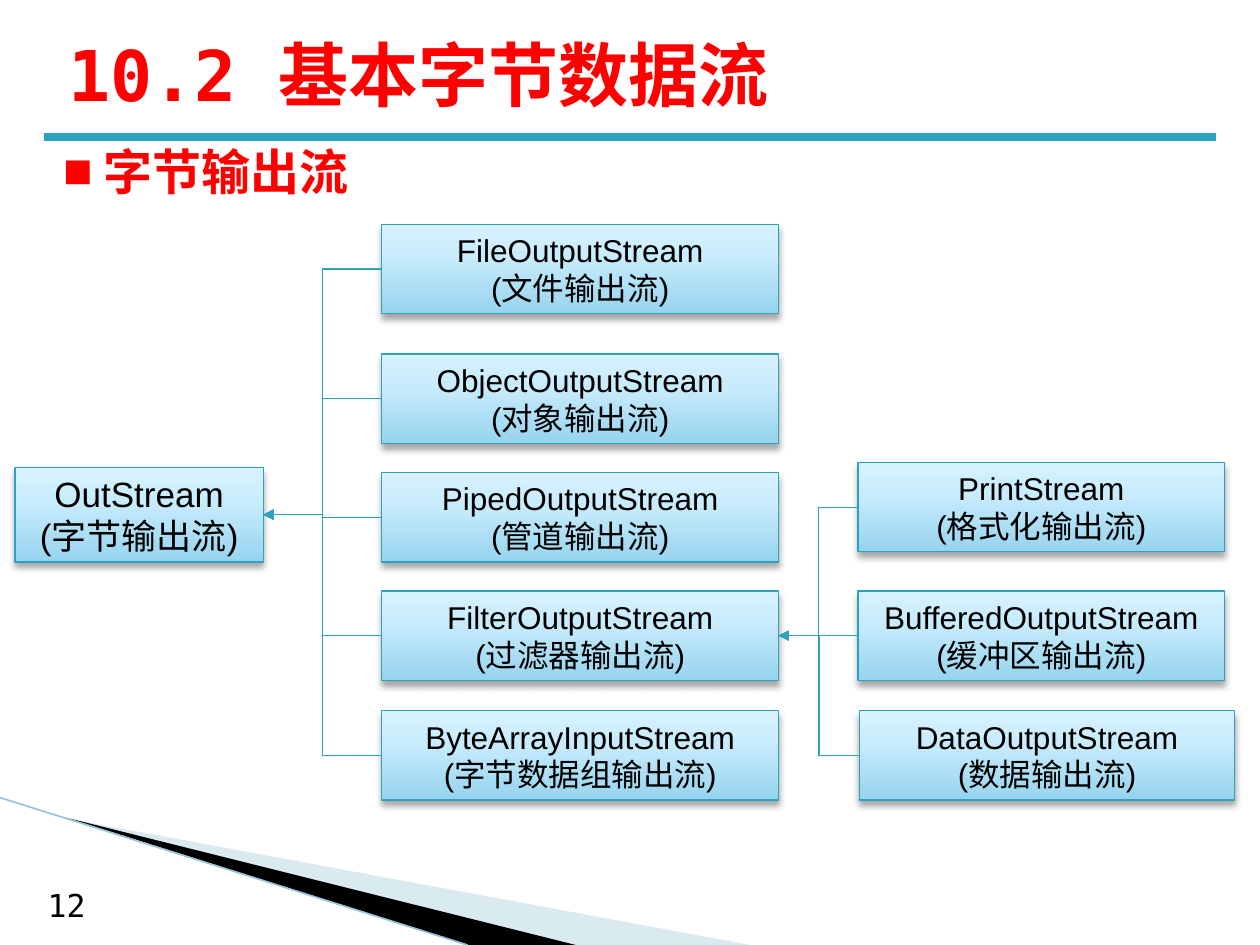
"""Build the slide on byte output streams: a title, a heading and a class tree."""
from copy import deepcopy

from lxml import etree
from pptx import Presentation
from pptx import util as u
from pptx.dml.color import RGBColor
from pptx.enum import shapes, text
from pptx.oxml.ns import qn

TEAL = RGBColor(0x2D, 0xA2, 0xBF)
RED = RGBColor(0xFF, 0x00, 0x00)
BLACK = RGBColor(0x00, 0x00, 0x00)
PALE = RGBColor(0xA0, 0xCB, 0xDC)
EDGE = RGBColor(0x97, 0xC5, 0xD8)
STOPS = [
    (0, RGBColor(0x96, 0xD4, 0xEE)),
    (0.65, RGBColor(0xC9, 0xEC, 0xFC)),
    (1, RGBColor(0xD7, 0xF2, 0xFF)),
]
MONO = "DejaVu Sans Mono"


def style(para, size, color, name="Arial", bold=False):
    for run in para.runs:
        run.font.size = u.Pt(size)
        run.font.color.rgb = color
        run.font.name = name
        run.font.bold = bold


def join(kind, color, width, ends=(0, 0, 0, 0)):
    line = slide.shapes.add_connector(kind, *[u.Inches(e) for e in ends])
    line.line.color.rgb = color
    line.line.width = u.Pt(width)
    etree.SubElement(line._element.spPr, qn("a:effectLst"))
    return line


deck = Presentation()
deck.slide_width, deck.slide_height = u.Inches(10), u.Inches(7.5)
slide = deck.slides.add_slide(deck.slide_layouts[1])

wedges = [
    (PALE, [(0.55, 6.5), (5.95, 7.5), (4.56, 7.5)]),
    (BLACK, [(0.53, 6.49), (4.57, 7.5), (3.72, 7.5)]),
]
for color, spots in wedges:
    first, *rest = [(u.Inches(x), u.Inches(y)) for x, y in spots]
    path = slide.shapes.build_freeform(*first)
    path.add_line_segments(rest)
    wedge = path.convert_to_shape()
    wedge.fill.solid()
    wedge.fill.fore_color.rgb = color
    wedge.line.fill.background()
    wedge.shadow.inherit = False
    if color == PALE:
        tint = wedge._element.spPr.find(".//" + qn("a:srgbClr"))
        etree.SubElement(tint, qn("a:alpha"), val="40000")

join(shapes.MSO_CONNECTOR.STRAIGHT, EDGE, 0.95, (0, 6.33, 3.71, 7.5))
join(shapes.MSO_CONNECTOR.STRAIGHT, TEAL, 4.5, (0.35, 1.09, 9.65, 1.09))

number = slide.shapes.add_textbox(
    u.Inches(0.28), u.Inches(6.98), u.Inches(0.55), u.Inches(0.4))
number.text_frame.word_wrap = True
number.text_frame.text = "12"
style(number.text_frame.paragraphs[0], 18, BLACK, MONO)

title = slide.shapes.title
title.left, title.top = u.Inches(0.44), u.Inches(0.16)
title.width, title.height = u.Inches(9), u.Inches(0.85)
title.text_frame.text = "10.2 基本字节数据流"
title.text_frame.vertical_anchor = text.MSO_ANCHOR.MIDDLE
head = title.text_frame.paragraphs[0]
head.alignment = text.PP_ALIGN.LEFT
style(head, 40, RED, MONO, True)

body = slide.placeholders[1]
body.left, body.top = u.Inches(0.4), u.Inches(1.07)
body.width, body.height = u.Inches(9.29), u.Inches(0.57)
body.text_frame.text = " 字节输出流"
body.text_frame.auto_size = text.MSO_AUTO_SIZE.SHAPE_TO_FIT_TEXT
item = body.text_frame.paragraphs[0]
item.space_before = u.Pt(0)
style(item, 28, RED, bold=True)
props = item._p.get_or_add_pPr()
props.set("marL", "0")
props.set("indent", "0")
etree.SubElement(props, qn("a:buFont"), typeface="Arial")
etree.SubElement(props, qn("a:buChar"), char="■")

nodes = [
    ("OutStream", "字节输出流", 0.12, 3.71, 1.97, None),
    ("FileOutputStream", "文件输出流", 3.03, 1.78, 3.15, "OutStream"),
    ("ObjectOutputStream", "对象输出流", 3.03, 2.81, 3.15, "OutStream"),
    ("PipedOutputStream", "管道输出流", 3.03, 3.75, 3.15, "OutStream"),
    ("FilterOutputStream", "过滤器输出流", 3.03, 4.69, 3.15, "OutStream"),
    ("ByteArrayInputStream", "字节数据组输出流", 3.03, 5.64, 3.15, "OutStream"),
    ("PrintStream", "格式化输出流", 6.81, 3.67, 2.91, "FilterOutputStream"),
    ("BufferedOutputStream", "缓冲区输出流", 6.81, 4.69, 2.91, "FilterOutputStream"),
    ("DataOutputStream", "数据输出流", 6.82, 5.64, 2.98, "FilterOutputStream"),
]
boxes = {}
for name, label, left, top, width, base in nodes:
    box = slide.shapes.add_shape(
        shapes.MSO_SHAPE.RECTANGLE, u.Inches(left), u.Inches(top),
        u.Inches(width), u.Inches(0.71 if base else 0.75))
    boxes[name] = box
    box.fill.gradient()
    box.fill.gradient_angle = 90
    grades = box._element.spPr.find(".//" + qn("a:gsLst"))
    grades.append(deepcopy(grades[0]))
    for stop, (place, color) in zip(box.fill.gradient_stops, STOPS):
        stop.position = place
        stop.color.rgb = color
    box.line.color.rgb = TEAL
    box.line.width = u.Pt(0.75)
    box.shadow.inherit = False
    glow = etree.SubElement(
        box._element.spPr.find(qn("a:effectLst")), qn("a:outerShdw"),
        blurRad=str(u.Pt(4)), dist=str(u.Pt(3)), dir="5400000", rotWithShape="0")
    shade = etree.SubElement(glow, qn("a:srgbClr"), val=str(BLACK))
    etree.SubElement(shade, qn("a:alpha"), val="35000")
    box.text_frame.text = f"{name}\n({label})"
    box.text_frame.vertical_anchor = text.MSO_ANCHOR.MIDDLE
    for para in box.text_frame.paragraphs:
        para.alignment = text.PP_ALIGN.CENTER
        style(para, 18 if base else 20, BLACK)

for name, *_, base in nodes:
    if base:
        link = join(shapes.MSO_CONNECTOR.ELBOW, TEAL, 0.75)
        link.begin_connect(boxes[name], 1)
        link.end_connect(boxes[base], 3)
        etree.SubElement(link.line._get_or_add_ln(), qn("a:tailEnd"), type="triangle")

deck.save("out.pptx")
